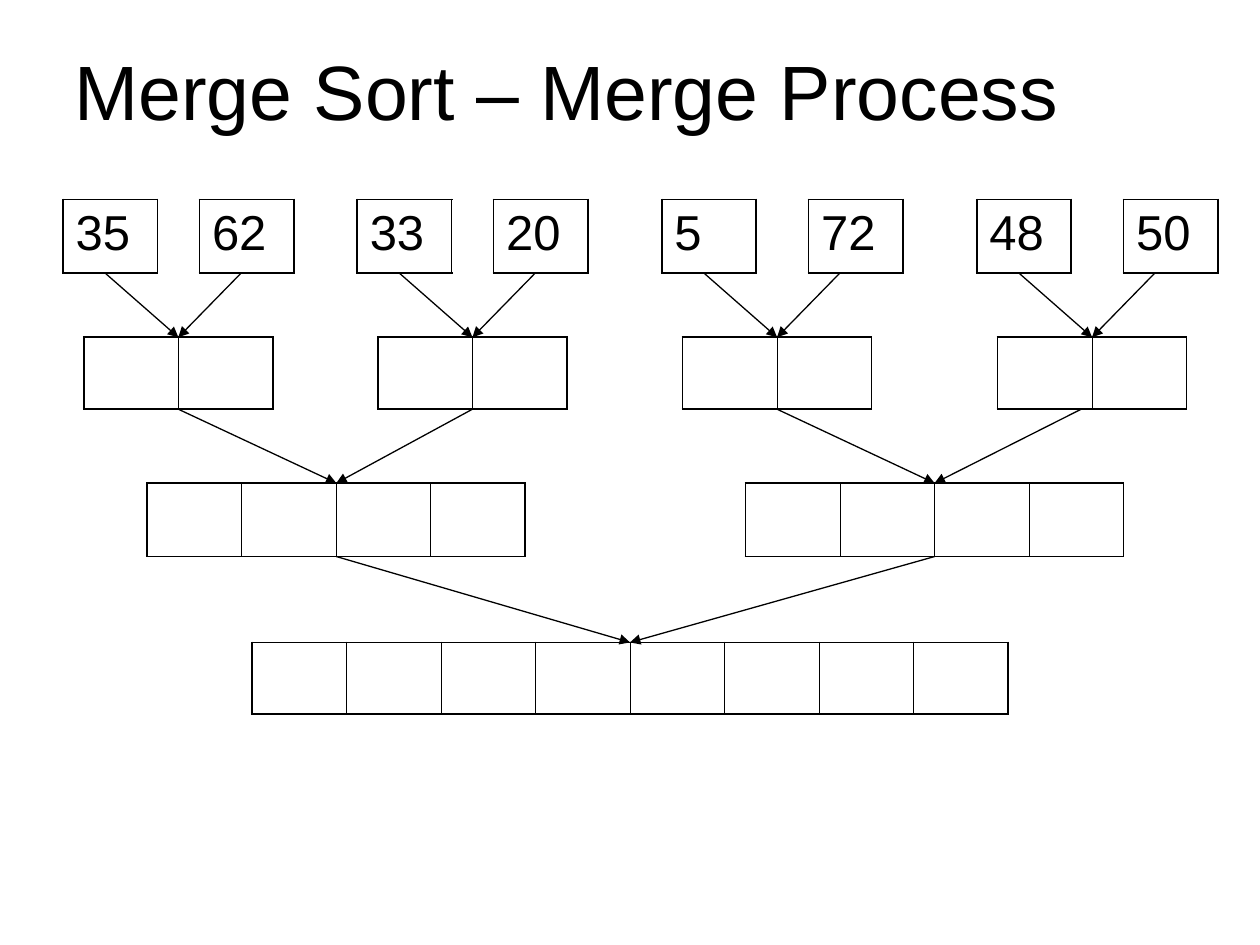
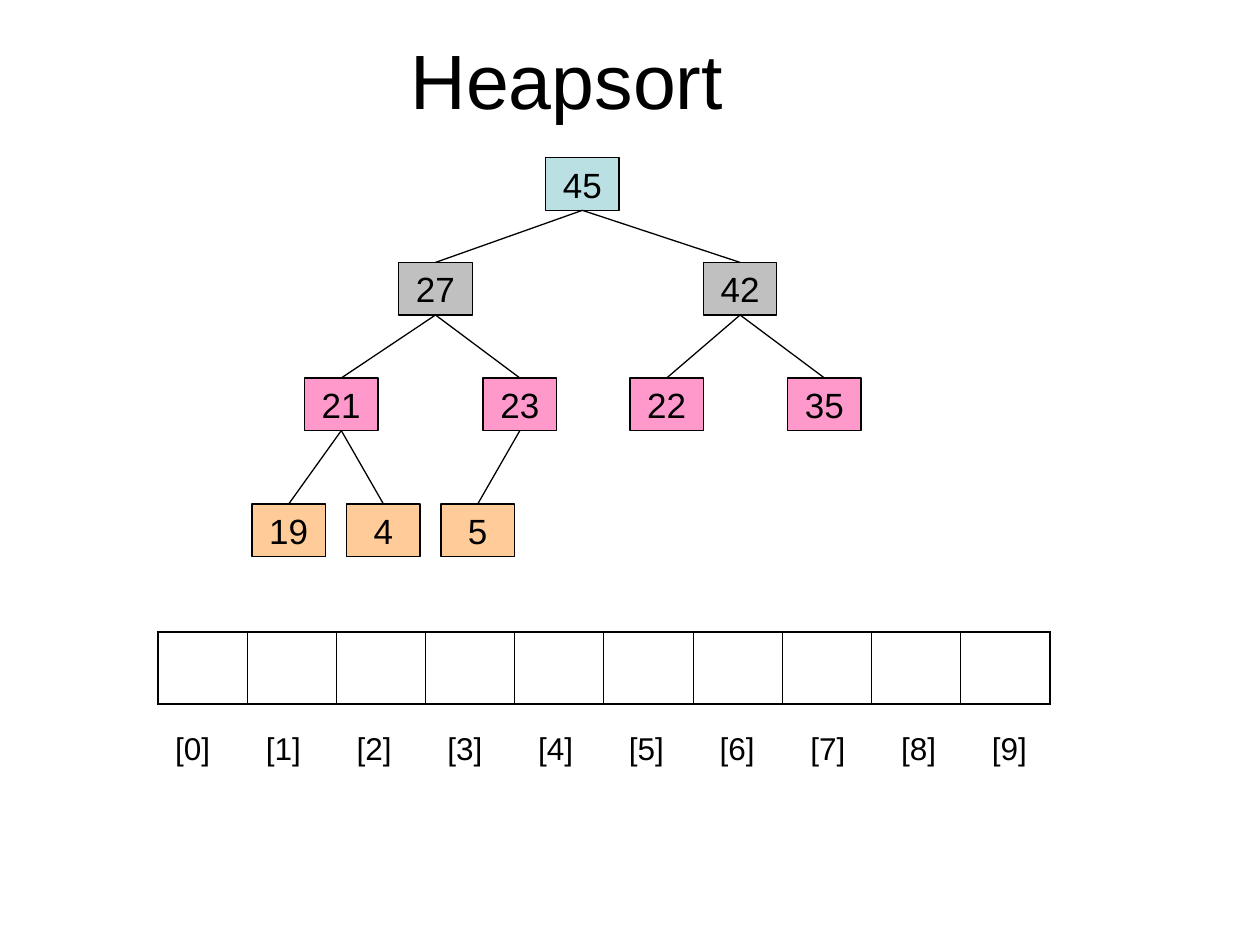
from dataclasses import dataclass
from typing import NamedTuple

from pptx import Presentation
from pptx.dml.color import RGBColor
from pptx.enum.shapes import MSO_CONNECTOR, MSO_SHAPE
from pptx.enum.text import MSO_ANCHOR, PP_ALIGN
from pptx.oxml.ns import qn
from pptx.util import Cm, Pt
from lxml.etree import SubElement


@dataclass(frozen=True)
class Theme:
    font: str = "Arial"
    ink: str = "000000"
    levels: tuple = ("BBE0E3", "C0C0C0", "FF99CC", "FFCC99")
    title: float = 44
    key: float = 28
    node: float = 20
    index: float = 18
    line: float = 0.75
    outer: float = 1.08
    inner: float = 0.45


class Box(NamedTuple):
    """Position and size in centimetres."""
    x: float
    y: float
    w: float
    h: float

    def emu(self):
        return [Cm(v) for v in self]


THEME = Theme()
NO_STYLE = "{2D5ABB26-0587-4C30-8999-92F81FD0307C}"


# Shared parts
def style_text(tf, size, align=PP_ALIGN.CENTER, before=0):
    for p in tf.paragraphs:
        p.alignment = align
        p.space_before = Pt(before)
        for r in p.runs:
            r.font.name = THEME.font
            r.font.size = Pt(size)
            r.font.color.rgb = RGBColor.from_string(THEME.ink)


def add_title(slide, text, box):
    tf = slide.shapes.add_textbox(*box.emu()).text_frame
    tf.word_wrap = True
    tf.vertical_anchor = MSO_ANCHOR.MIDDLE
    tf.text = text
    style_text(tf, THEME.title)


def add_line(slide, x1, y1, x2, y2, arrow=False):
    ends = [Cm(v) for v in (x1, y1, x2, y2)]
    cx = slide.shapes.add_connector(MSO_CONNECTOR.STRAIGHT, *ends)
    cx.line.color.rgb = RGBColor.from_string(THEME.ink)
    cx.line.width = Pt(THEME.line)
    if arrow:
        SubElement(cx.line._get_or_add_ln(), qn("a:tailEnd"), type="triangle")
    SubElement(cx._element.spPr, qn("a:effectLst"))
    return cx


def set_borders(cell, first, last):
    widths = {
        "a:lnL": THEME.outer if first else THEME.inner,
        "a:lnR": THEME.outer if last else THEME.inner,
        "a:lnT": THEME.outer,
        "a:lnB": THEME.outer,
    }
    tcPr = cell._tc.get_or_add_tcPr()
    for i, (side, width) in enumerate(widths.items()):
        ln = SubElement(tcPr, qn(side), w=str(Pt(width)))
        fill = SubElement(ln, qn("a:solidFill"))
        SubElement(fill, qn("a:srgbClr"), val=THEME.ink)
        tcPr.insert(i, ln)


def add_strip(slide, box, count, borders=True):
    """A one-row table with equal cells; returns its cells."""
    tbl = slide.shapes.add_table(1, count, *box.emu()).table
    tbl.first_row = tbl.horz_banding = False
    tbl._tbl.tblPr.find(qn("a:tableStyleId")).text = NO_STYLE
    cells = [tbl.cell(0, i) for i in range(count)]
    for i, cell in enumerate(cells):
        cell.fill.background()
        if borders:
            set_borders(cell, i == 0, i == count - 1)
    return cells


# Merge sort: four rows of strips, joined pairwise by arrows
KEY_PAIRS = [  # left, step, keys
    (0, 2.75, ("35", "62")),
    (5.93, 2.75, ("33", "20")),
    (12.07, 2.96, ("5", "72")),
    (18.42, 2.96, ("48", "50")),
]
MERGE_ROWS = [  # top, height, cells per strip, lefts
    (2.78, 1.45, 2, [left + 0.42 for left, _, _ in KEY_PAIRS]),
    (5.72, 1.48, 4, [1.7, 13.76]),
    (8.93, 1.45, 8, [3.81]),
]


def add_merge_tree(slide, box):
    cell_w, key_h = 1.905, 1.48

    # Keys
    for left, step, keys in KEY_PAIRS:
        for i, key in enumerate(keys):
            key_box = Box(box.x + left + i * step, box.y, cell_w, key_h)
            cell, = add_strip(slide, key_box, 1)
            cell.text_frame.text = key
            style_text(cell.text_frame, THEME.key, PP_ALIGN.LEFT, before=7)

    # Empty strips and the arrows that lead into them
    sources, bottom = [], box.y + key_h
    for top, height, count, lefts in MERGE_ROWS:
        width = count * cell_w
        centres = [box.x + left + width / 2 for left in lefts]
        if not sources:
            sources = [c + dx for c in centres for dx in (-1.48, 1.27)]
        for left in lefts:
            add_strip(slide, Box(box.x + left, box.y + top, width, height), count)
        for i, x in enumerate(sources):
            add_line(slide, x, bottom, centres[i // 2], box.y + top, arrow=True)
        sources, bottom = centres, box.y + top + height
        if len(sources) == 4:
            sources[-1] -= 0.22  # the last pair's arrow starts left of centre


# Heapsort: tree in array order, so the parent of i is (i - 1) // 2
HEAP = [("45", 5.92), ("27", 2.96), ("42", 9.1), ("21", 1.06), ("23", 4.66),
        ("22", 7.62), ("35", 10.8), ("19", 0), ("4", 1.91), ("5", 3.81)]
LEVEL_TOPS = (0, 2.11, 4.44, 6.98)


def add_heap(slide, box):
    nodes = []
    for i, (key, left) in enumerate(HEAP):
        level = (i + 1).bit_length() - 1
        node = Box(box.x + left, box.y + LEVEL_TOPS[level], 1.48, 1.06)
        sp = slide.shapes.add_shape(MSO_SHAPE.RECTANGLE, *node.emu())
        sp.shadow.inherit = False
        sp.fill.solid()
        sp.fill.fore_color.rgb = RGBColor.from_string(THEME.levels[level])
        sp.line.color.rgb = RGBColor.from_string(THEME.ink)
        sp.line.width = Pt(THEME.line)
        tf = sp.text_frame
        tf.word_wrap = False
        tf.vertical_anchor = MSO_ANCHOR.MIDDLE
        tf.text = key
        style_text(tf, THEME.node)
        nodes.append(sp)

    # Edges
    for i, child in enumerate(nodes[1:], start=1):
        edge = add_line(slide, 0, 0, 0, 0)
        edge.begin_connect(nodes[(i - 1) // 2], 2)
        edge.end_connect(child, 0)


def add_array(slide, box):
    count = len(HEAP)
    add_strip(slide, Box(box.x, box.y, box.w, 1.45), count)

    # Index labels, a little wider than the array
    labels = Box(box.x - 0.21, box.y + 1.86, box.w + 0.3, 1.02)
    for i, cell in enumerate(add_strip(slide, labels, count, borders=False)):
        cell.vertical_anchor = MSO_ANCHOR.MIDDLE
        cell.text_frame.text = f"[{i}]"
        style_text(cell.text_frame, THEME.index, before=4.5)


# Slides
def merge_slide(slide):
    add_title(slide, "Merge Sort – Merge Process", Box(0, 0.21, 22.86, 3.18))
    add_merge_tree(slide, Box(1.27, 4.02, 23.29, 10.38))


def heap_slide(slide):
    add_title(slide, "Heapsort", Box(0, 0, 22.86, 3.18))
    add_heap(slide, Box(5.08, 3.18, 12.28, 8.04))
    add_array(slide, Box(3.18, 12.74, 17.99, 2.88))


def main():
    prs = Presentation()
    prs.slide_width, prs.slide_height = Cm(25.4), Cm(19.05)
    for build in (merge_slide, heap_slide):
        build(prs.slides.add_slide(prs.slide_layouts[6]))
    prs.save("out.pptx")


if __name__ == "__main__":
    main()
